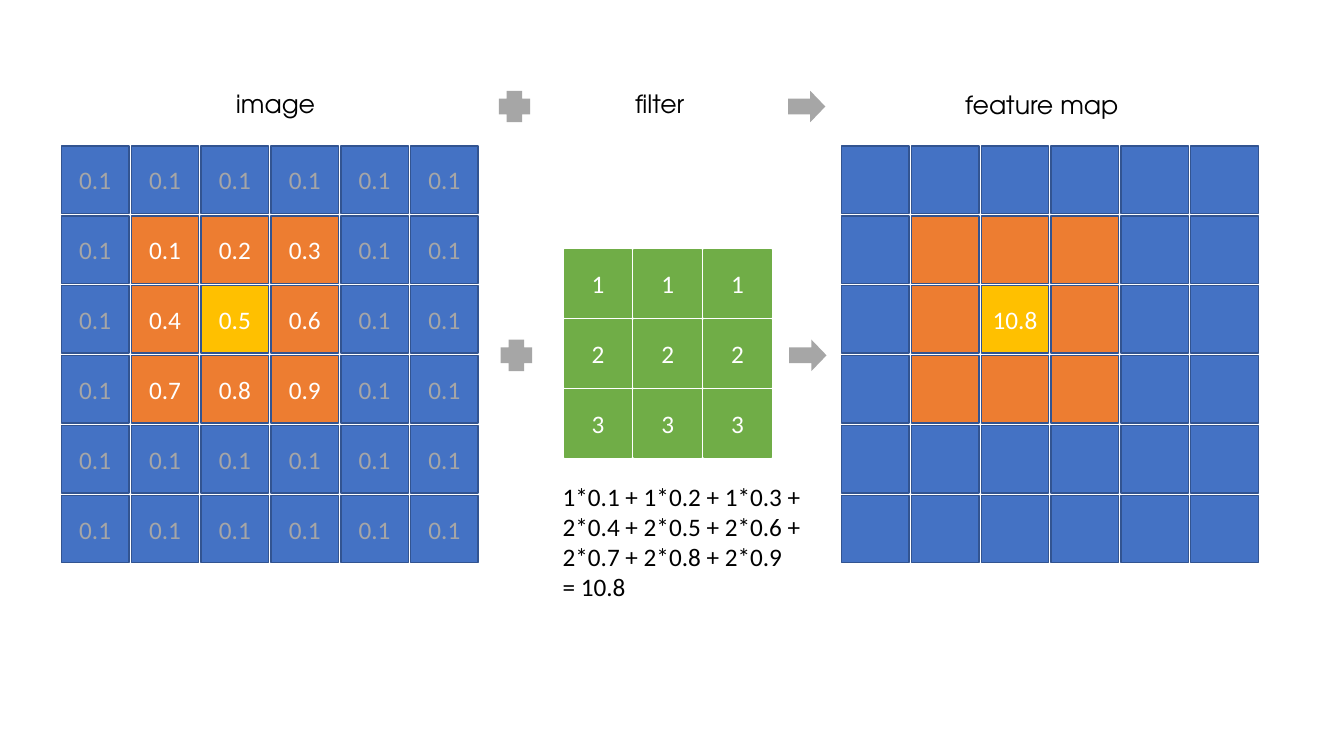
"""Build a slide showing an image grid convolved with a filter into a feature map."""
from pptx import Presentation
from pptx.dml.color import RGBColor
from pptx.enum import shapes, text
from pptx.util import Cm, Pt

COLORS = {
    "blue": "4472C4", "navy": "325491", "orange": "ED7D31", "gold": "FFC000",
    "green": "70AD47", "gray": "A6A6A6", "white": "FFFFFF", "black": "000000",
}
CELL, PITCH = 1.7, 1.76


def write(shape, content, font="Calibri", color="black", align=text.PP_ALIGN.CENTER,
          anchor=text.MSO_ANCHOR.TOP):
    frame = shape.text_frame
    frame.word_wrap = True
    frame.vertical_anchor = anchor
    frame.text = content
    for paragraph in frame.paragraphs:
        paragraph.alignment = align
        paragraph.font.name = font
        paragraph.font.size = Pt(18)
        paragraph.font.color.rgb = RGBColor.from_string(COLORS[color])


def add_figure(parent, kind, left, top, width, height, fill, outline=None):
    figure = parent.add_shape(kind, Cm(left), Cm(top), Cm(width), Cm(height))
    figure.shadow.inherit = False
    figure.fill.solid()
    figure.fill.fore_color.rgb = RGBColor.from_string(COLORS[fill])
    if outline:
        figure.line.color.rgb = RGBColor.from_string(COLORS[outline])
        figure.line.width = Pt(1)
    else:
        figure.line.fill.background()
    return figure


deck = Presentation()
deck.slide_width, deck.slide_height = Cm(33.87), Cm(19.05)
slide = deck.slides.add_slide(deck.slide_layouts[6])

image_values = [["0.1"] * 6 for row in range(6)]
for row in range(3):
    for column in range(3):
        image_values[row + 1][column + 1] = f"0.{3 * row + column + 1}"
filter_values = [[weight] * 3 for weight in "123"]
feature_values = [[""] * 6 for row in range(6)]
feature_values[2][2] = "10.8"

grids = [
    (1.55, 3.68, image_values, "blue", "navy"),
    (14.22, 6.3, filter_values, "green", "green"),
    (21.21, 3.68, feature_values, "blue", "navy"),
]
for left, top, values, base, outline in grids:
    grid = slide.shapes.add_group_shape()
    for row, row_values in enumerate(values):
        for column, value in enumerate(row_values):
            fill, ink = base, "white" if base == "green" else "gray"
            if base == "blue" and 1 <= row <= 3 and 1 <= column <= 3:
                fill, ink = "gold" if row == column == 2 else "orange", "white"
            cell = add_figure(grid.shapes, shapes.MSO_SHAPE.RECTANGLE, left + column * PITCH,
                              top + row * PITCH, CELL, CELL, fill, outline)
            if value:
                write(cell, value, color=ink, anchor=text.MSO_ANCHOR.MIDDLE)

calculation = slide.shapes.add_textbox(Cm(14.18), Cm(12.12), Cm(8.79), Cm(3.07))
calculation_frame = calculation.text_frame
calculation_frame.margin_left = calculation_frame.margin_right = 0
calculation_frame.margin_top = calculation_frame.margin_bottom = 0
write(calculation, "1*0.1 + 1*0.2 + 1*0.3 +\n2*0.4 + 2*0.5 + 2*0.6 +\n"
      "2*0.7 + 2*0.8 + 2*0.9\n= 10.8", align=text.PP_ALIGN.LEFT)

for heading, left, top, width in [("image", 1.88, 2.11, 10.13), ("filter", 12.04, 2.11, 9.17),
                                  ("feature map", 21.67, 2.13, 9.17)]:
    label = slide.shapes.add_textbox(Cm(left), Cm(top), Cm(width), Cm(1.02))
    write(label, heading, font="TeX Gyre Adventor")

for plus_left, arrow_left, top in [(12.62, 19.89, 8.56), (12.57, 19.86, 2.29)]:
    add_figure(slide.shapes, shapes.MSO_SHAPE.CROSS, plus_left, top, 0.79, 0.79, "gray")
    arrow = add_figure(slide.shapes, shapes.MSO_SHAPE.RIGHT_ARROW, arrow_left, top,
                       0.94, 0.79, "gray")
    arrow.adjustments[1] = 0.48

deck.save("out.pptx")
